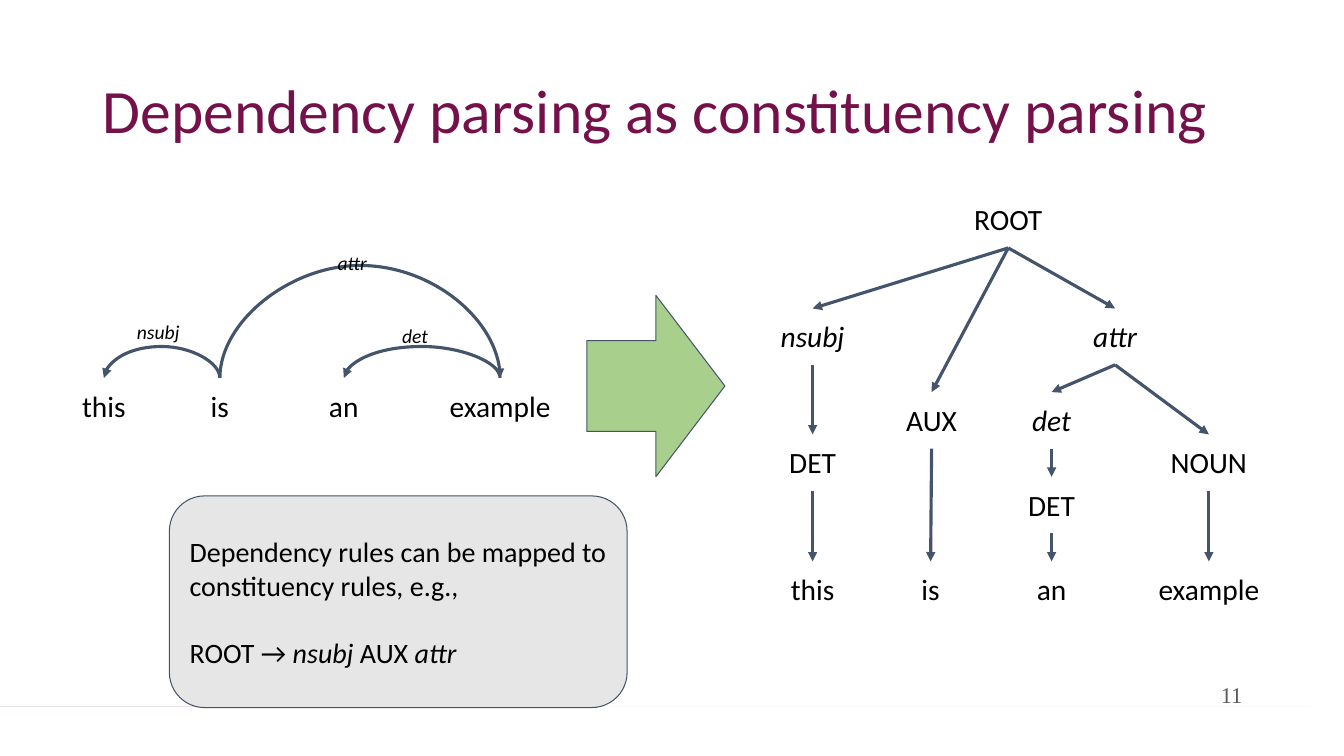
"""Build the slide on dependency parsing as constituency parsing."""
from lxml import etree
from pptx import Presentation
from pptx.dml.color import RGBColor
from pptx.enum.shapes import MSO_CONNECTOR, MSO_SHAPE
from pptx.enum.text import MSO_ANCHOR, PP_ALIGN
from pptx.oxml.ns import qn
from pptx.util import Emu, Inches, Pt

STRAIGHT, CURVE = MSO_CONNECTOR.STRAIGHT, MSO_CONNECTOR.CURVE
ARROW, ROUND = MSO_SHAPE.RIGHT_ARROW, MSO_SHAPE.ROUNDED_RECTANGLE
TOP, MIDDLE = MSO_ANCHOR.TOP, MSO_ANCHOR.MIDDLE
LEFT, CENTER, RIGHT = PP_ALIGN.LEFT, PP_ALIGN.CENTER, PP_ALIGN.RIGHT

COLORS = {
    "wine": "75114A", "sand": "D9C49F", "band": "D8D8D8", "ink": "000000",
    "number": "595959", "line": "44546A", "green": "A8D08C", "panel": "E7E6E6",
}
TITLE = "Dependency parsing as constituency parsing"
NUMBER = "11"
BANDS = [
    ("sand", [(3.16, 6.53), (3.38, 6.53), (3.9, 7.21), (3.67, 7.21)]),
    ("wine", [(0, 6.55), (3.17, 6.53), (3.68, 7.21), (0, 7.25)]),
    ("band", [(3.49, 6.51), (13.33, 6.54), (13.33, 7.19), (4, 7.19)]),
]
WORDS = [("this", 1.03), ("is", 2.18), ("an", 3.41), ("example", 4.96)]
ARCS = [
    ("nsubj", 1, 0, 0.26, (1.26, 3.07)),
    ("attr", 1, 3, 0.93, (3.25, 2.39)),
    ("det", 3, 2, 0.26, (3.89, 3.11)),
]
NODES = {
    "root": ("ROOT", 10, 1.9, False),
    "nsubj": ("nsubj", 8.06, 3.06, True),
    "attr": ("attr", 11.06, 3.06, True),
    "aux": ("AUX", 9.24, 3.89, False),
    "det": ("det", 10.43, 3.89, True),
    "det1": ("DET", 8.06, 4.31, False),
    "noun": ("NOUN", 11.99, 4.31, False),
    "det2": ("DET", 10.43, 4.73, False),
    "this": ("this", 8.06, 5.57, False),
    "is": ("is", 9.23, 5.57, False),
    "an": ("an", 10.43, 5.57, False),
    "example": ("example", 11.99, 5.57, False),
}
EDGES = [
    ("root", "nsubj"), ("root", "aux"), ("root", "attr"),
    ("nsubj", "det1"), ("det1", "this"), ("aux", "is"),
    ("attr", "det"), ("det", "det2"), ("det2", "an"),
    ("attr", "noun"), ("noun", "example"),
]
RULES = [
    [("Dependency rules can be mapped to constituency rules, e.g.,", False)],
    [("ROOT → ", False), ("nsubj", True), (" AUX ", False), ("attr", True)],
]
WORD_TOP, WORD_H = 3.75, 0.56
THIN = 600


def tint(name):
    return RGBColor.from_string(COLORS[name])


def style(run, size, color="ink", italic=False, face="Calibri"):
    run.font.name = face
    run.font.size = Pt(size)
    run.font.italic = italic
    run.font.color.rgb = tint(color)


def frame(shape, anchor):
    box = shape.text_frame
    box.word_wrap = True
    box.vertical_anchor = anchor
    box.margin_left = box.margin_right = Inches(0.1)
    box.margin_top = box.margin_bottom = Inches(0.1)
    return box


def label(slide, text, at, size, align=LEFT, anchor=TOP, **look):
    box = frame(slide.shapes.add_textbox(*map(Inches, at)), anchor)
    box.text = text
    line = box.paragraphs[0]
    line.alignment = align
    style(line.runs[0], size, **look)
    return line


def word(slide, text, x, top, italic=False):
    width = 1.37 if len(text) > 5 else 0.96
    label(slide, text, (x - width / 2, top, width, WORD_H), 21, CENTER, italic=italic)


def link(slide, kind, *ends):
    edge = slide.shapes.add_connector(kind, *ends)
    edge.line.color.rgb = tint("line")
    edge.line.width = Pt(2.25)
    head = etree.SubElement(edge.line._get_or_add_ln(), qn("a:tailEnd"))
    head.set("type", "triangle")
    props = edge._element.spPr
    etree.SubElement(props, qn("a:effectLst"))
    return props


def arc(slide, start, end, rise):
    mid, half = Inches((start + end) / 2), Inches(abs(end - start) / 2)
    base = Inches(WORD_TOP)
    props = link(slide, CURVE, mid, base - half, Emu(mid + THIN), base + half)
    turn = props.find(qn("a:xfrm"))
    turn.set("rot", "5400000" if end < start else "16200000")
    if end > start:
        turn.set("flipH", "1")
    guides = props.find(qn("a:prstGeom")).get_or_add_avLst()
    guide = etree.SubElement(guides, qn("a:gd"))
    guide.set("name", "adj1")
    guide.set("fmla", f"val {-round(Inches(rise) / THIN * 100000)}")


def block(slide, kind, at, fill):
    shape = slide.shapes.add_shape(kind, *map(Inches, at))
    shape.shadow.inherit = False
    shape.fill.solid()
    shape.fill.fore_color.rgb = tint(fill)
    shape.line.color.rgb = tint("line")
    shape.line.width = Pt(0.75)
    return shape


def band(slide, color, points):
    path = slide.shapes.build_freeform(*points[0], scale=Inches(1))
    path.add_line_segments(points[1:])
    shape = path.convert_to_shape()
    shape.shadow.inherit = False
    shape.fill.solid()
    shape.fill.fore_color.rgb = tint(color)
    shape.line.fill.background()


def main():
    deck = Presentation()
    deck.slide_width, deck.slide_height = Inches(13.33), Inches(7.5)
    slide = deck.slides.add_slide(deck.slide_layouts[6])
    for color, points in BANDS:
        band(slide, color, points)
    title = label(slide, TITLE, (0.92, 0.4, 11.5, 1.45), 44, anchor=MIDDLE, color="wine")
    title.line_spacing = 0.9
    label(slide, NUMBER, (7.92, 6.69, 4.5, 0.4), 16, RIGHT, MIDDLE,
          color="number", face="Times New Roman")

    for text, x in WORDS:
        word(slide, text, x, WORD_TOP)
    for text, start, end, rise, spot in ARCS:
        arc(slide, WORDS[start][1], WORDS[end][1], rise)
        label(slide, text, (*spot, 1.03, 0.44), 14, italic=True)

    for node in NODES.values():
        word(slide, *node)
    for parent, child in EDGES:
        _, x1, y1, _ = NODES[parent]
        _, x2, y2, _ = NODES[child]
        link(slide, STRAIGHT, *map(Inches, (x1, y1 + WORD_H, x2, y2)))

    block(slide, ARROW, (5.82, 2.93, 1.37, 1.8), "green")
    panel = frame(block(slide, ROUND, (1.68, 4.92, 4.54, 2.1), "panel"), MIDDLE)
    for i, parts in enumerate(RULES):
        line = panel.add_paragraph() if i else panel.paragraphs[0]
        line.alignment = LEFT
        if i:
            line.space_before = Pt(24)
        for text, italic in parts:
            run = line.add_run()
            run.text = text
            style(run, 20, italic=italic)
    deck.save("out.pptx")


if __name__ == "__main__":
    main()
